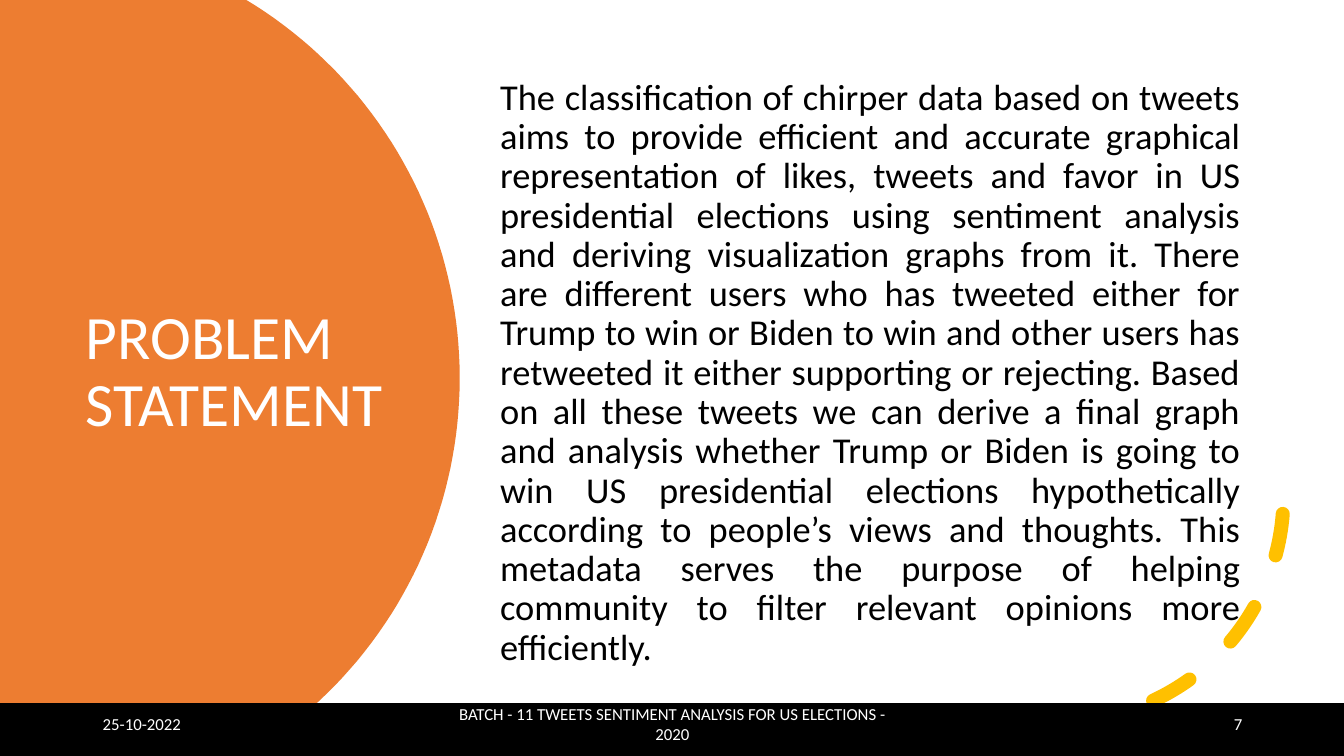
import math

from lxml import etree
from pptx import Presentation
from pptx import util as u
from pptx.dml.color import RGBColor
from pptx.enum import dml, shapes, text
from pptx.oxml.ns import qn

COLORS = {"orange": "ED7D31", "gold": "FFC000", "black": "000000", "white": "FFFFFF"}
FONT = "Calibri"
ALIGN = text.PP_ALIGN

STATEMENT = (
    "The classification of chirper data based on tweets aims to provide efficient and "
    "accurate graphical representation of likes, tweets and favor in US presidential "
    "elections using sentiment analysis and deriving visualization graphs from it. "
    "There are different users who has tweeted either for Trump to win or Biden to win "
    "and other users has retweeted it either supporting or rejecting. Based on all "
    "these tweets we can derive a final graph and analysis whether Trump or Biden is "
    "going to win US presidential elections hypothetically according to people’s views "
    "and thoughts. This metadata serves the purpose of helping community to filter "
    "relevant opinions more efficiently."
)


def color(name):
    return RGBColor.from_string(COLORS[name])


class Deck:
    def __init__(self, width, height):
        self.prs = Presentation()
        self.prs.slide_width = u.Inches(width)
        self.prs.slide_height = u.Inches(height)
        self.s = self.prs.slides.add_slide(self.prs.slide_layouts[1])

    def place(self, sp, box):
        sp.left, sp.top, sp.width, sp.height = map(u.Inches, box)

    def send_back(self, sp, level):
        """Put a shape behind the placeholders, level 0 being the lowest."""
        self.s.shapes._spTree.insert(2 + level, sp._element)

    def set_text(self, sp, words, size, ink, align, spacing=None):
        tf = sp.text_frame
        tf.text = words
        tf.word_wrap = True
        tf.auto_size = text.MSO_AUTO_SIZE.NONE
        tf.vertical_anchor = text.MSO_ANCHOR.MIDDLE
        p = tf.paragraphs[0]
        p.alignment = align
        p.line_spacing = spacing
        p.space_before = u.Pt(0)
        r = p.runs[0]
        r.font.name = FONT
        r.font.size = u.Pt(size)
        r.font.color.rgb = color(ink)
        return p

    def title(self, words, box):
        sp = self.s.shapes.title
        self.place(sp, box)
        self.set_text(sp, words, 44, "white", ALIGN.LEFT, 0.9)

    def body(self, words, box):
        sp = self.s.placeholders[1]
        self.place(sp, box)
        p = self.set_text(sp, words, 26, "black", ALIGN.JUSTIFY, 0.9)
        pPr = p._p.get_or_add_pPr()
        pPr.set("marL", "0")
        pPr.set("indent", "0")
        etree.SubElement(pPr, qn("a:buNone"))

    def label(self, words, box, align):
        sp = self.s.shapes.add_textbox(*map(u.Inches, box))
        self.set_text(sp, words, 12, "white", align)

    def round_panel(self, center, radius, height, fill):
        """Fill from the left edge to a circle cut by the slide's top and bottom."""
        cx, cy = center
        half = math.asin(height / 2 / radius)
        steps = 80
        angles = [half * (2 * i / steps - 1) for i in range(steps + 1)]
        points = [(cx + radius * math.cos(a), cy + radius * math.sin(a)) for a in angles]
        fb = self.s.shapes.build_freeform(0, 0, scale=u.Inches(1) / 1000)
        fb.add_line_segments(
            [(round(x * 1000), round(y * 1000)) for x, y in points + [(0, height)]]
        )
        sp = fb.convert_to_shape()
        sp.shadow.inherit = False
        sp.fill.solid()
        sp.fill.fore_color.rgb = color(fill)
        sp.line.fill.background()
        self.send_back(sp, 0)

    def dashed_arc(self, box, ink, weight):
        """Draw the lower right quarter of a circle with round dashes."""
        sp = self.s.shapes.add_shape(shapes.MSO_SHAPE.ARC, *map(u.Inches, box))
        sp.shadow.inherit = False
        sp.fill.background()
        sp.line.color.rgb = color(ink)
        sp.line.width = u.Pt(weight)
        sp.line.dash_style = dml.MSO_LINE.DASH
        sp._element.spPr.find(qn("a:ln")).set("cap", "rnd")
        sp._element.spPr.find(qn("a:xfrm")).set("flipV", "1")
        self.send_back(sp, 1)

    def bar(self, box, fill):
        sp = self.s.shapes.add_shape(shapes.MSO_SHAPE.RECTANGLE, *map(u.Inches, box))
        sp.shadow.inherit = False
        sp.fill.solid()
        sp.fill.fore_color.rgb = color(fill)
        sp.line.color.rgb = color(fill)
        sp.line.width = u.Pt(1)


def main():
    width, height = 13.33, 7.5
    deck = Deck(width, height)
    deck.round_panel((0.18, height / 2), 4.38, height, "orange")
    deck.dashed_arc((8.26, 2.69, 4.47, 4.47), "gold", 10)
    deck.title("PROBLEM STATEMENT", (0.75, 1.26, 3.5, 4.88))
    deck.body(STATEMENT, (4.86, 0.65, 7.55, 6.11))

    top = 6.98
    deck.bar((0, top, width, height - top), "black")
    footer = [
        ("25-10-2022", 0.92, 3, ALIGN.LEFT),
        ("BATCH - 11 TWEETS SENTIMENT ANALYSIS FOR US ELECTIONS - 2020", 4.42, 4.5, ALIGN.CENTER),
        ("7", 9.42, 3, ALIGN.RIGHT),
    ]
    for words, left, label_width, align in footer:
        deck.label(words, (left, top, label_width, 0.4), align)
    deck.prs.save("out.pptx")


if __name__ == "__main__":
    main()
